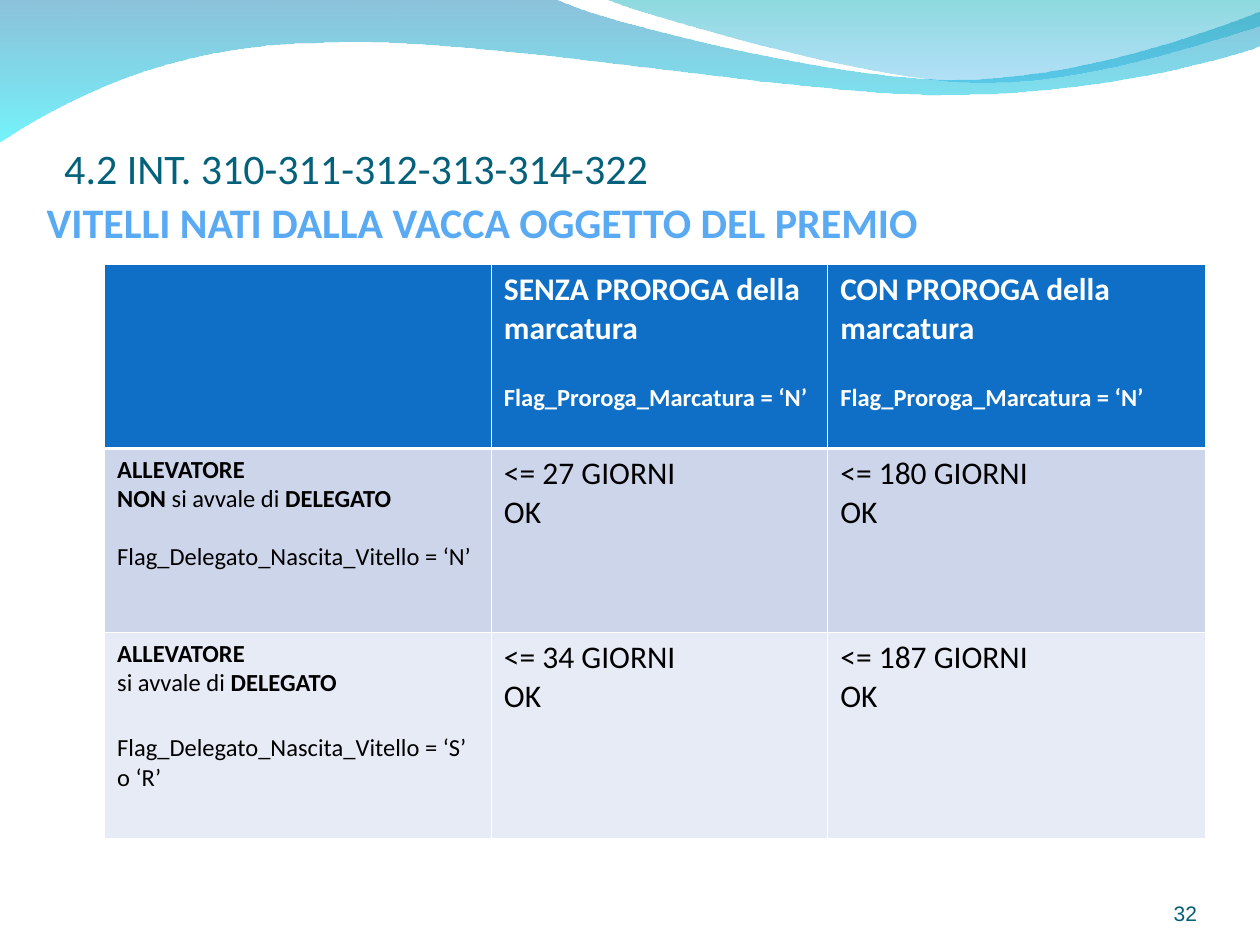
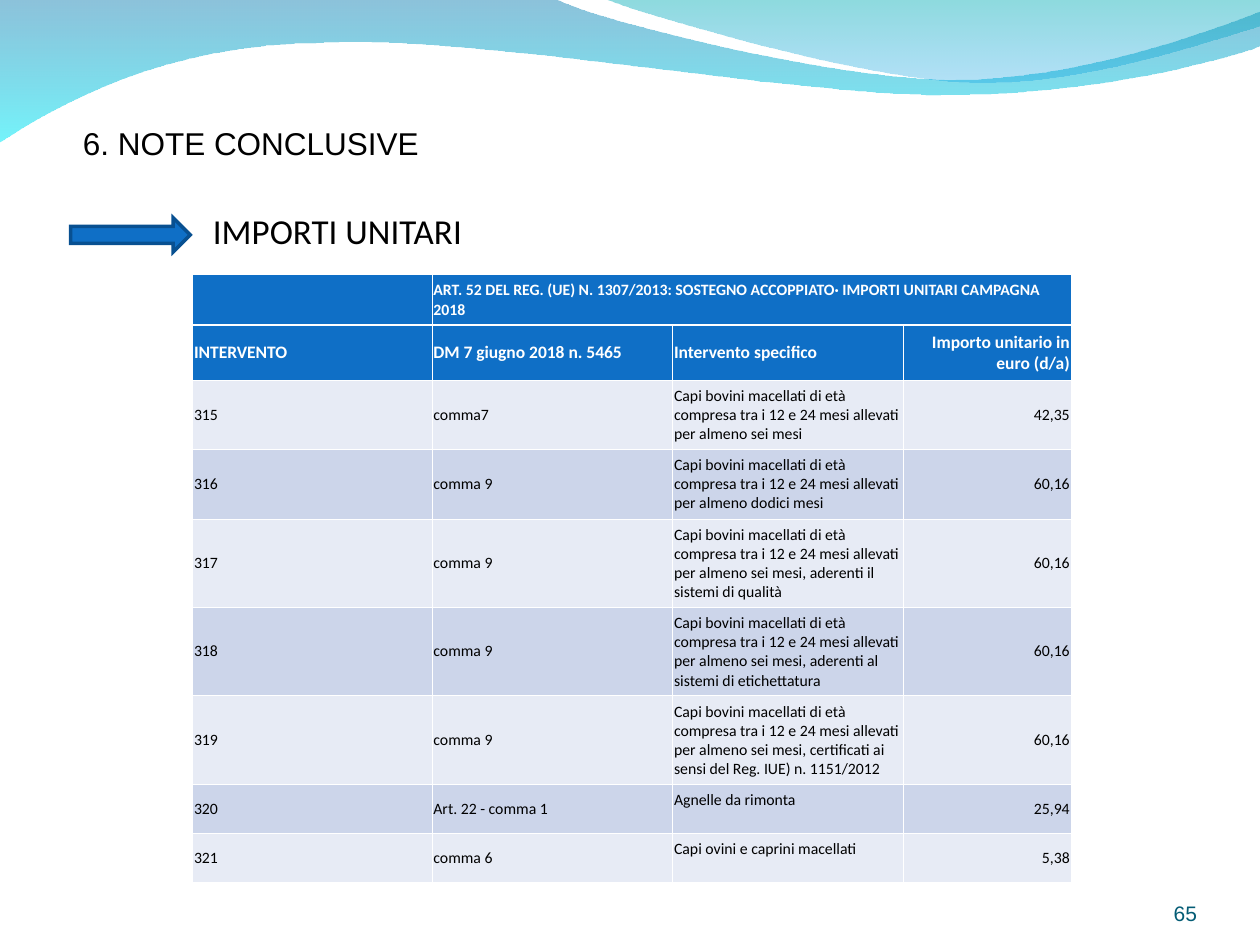
from dataclasses import dataclass
from typing import Optional

from lxml.etree import SubElement
from pptx import Presentation
from pptx.dml.color import RGBColor
from pptx.enum.shapes import MSO_SHAPE
from pptx.enum.text import MSO_ANCHOR, MSO_AUTO_SIZE, PP_ALIGN
from pptx.oxml.ns import qn
from pptx.util import Inches, Pt


@dataclass(frozen=True)
class Theme:
    body_font: str = "Calibri"
    label_font: str = "Arial"
    white: str = "FFFFFF"
    black: str = "000000"
    blue: str = "0F6FC6"
    blue_edge: str = "085091"
    title: str = "04617B"
    subtitle: str = "59AAF2"
    number: str = "045C75"
    bands: tuple = ("CCD5EA", "E7EBF5")
    title_size: int = 24
    topic_size: int = 20
    large: int = 18
    medium: int = 14
    number_size: int = 12
    column_head: int = 10
    small: int = 9
    thin_border: float = 0.45
    thick_border: float = 1.47


@dataclass(frozen=True)
class Box:
    left: float
    top: float
    width: float
    height: float

    def emu(self) -> tuple:
        return tuple(Inches(v) for v in (self.left, self.top, self.width, self.height))


@dataclass(frozen=True)
class Line:
    runs: tuple
    size: Optional[int] = None
    gap: float = 0


@dataclass(frozen=True)
class Wave:
    start: tuple
    segments: tuple
    stops: tuple


THEME = Theme()
CELL_INSETS = (0.1, 0.05, 0.1, 0.05)
TIGHT_INSETS = (0.01, 0.05, 0.01, 0.05)
TITLE_INSETS = (0, 0.05, 0, 0)

WAVES = (
    Wave(
        (0, -0.01),
        (
            ((4.4, -0.01),),
            ((4.76, 0.17), (6.64, 0.63), (7.58, 0.63)),
            ((8.53, 0.63), (9.58, 0.26), (10, 0.09)),
            ((10.01, 0.36),),
            ((9.83, 0.44), (8.7, 0.76), (7.46, 0.75)),
            ((6.22, 0.75), (3.82, 0.28), (2.57, 0.34)),
            ((1.29, 0.35), (0.46, 0.83), (-0.01, 1.13)),
            ((0, -0.01),),
        ),
        (("0079AF", 45), ("00EBF8", 55)),
    ),
    Wave(
        (4.79, -0.01),
        (
            ((5.09, 0.11), (6.82, 0.62), (7.69, 0.65)),
            ((8.56, 0.69), (9.61, 0.32), (10, 0.21)),
            ((10, 0),),
            ((4.79, -0.01),),
        ),
        (("00ADB6", 45), ("009BE5", 30)),
    ),
)


def rgb(value: str) -> RGBColor:
    return RGBColor.from_string(value)


def write_text(holder, *lines, size, color=THEME.black, font=THEME.body_font, bold=False,
               align=PP_ALIGN.LEFT, anchor=MSO_ANCHOR.TOP, insets=CELL_INSETS, spacing=None) -> None:
    (holder.margin_left, holder.margin_top,
     holder.margin_right, holder.margin_bottom) = (Inches(v) for v in insets)
    holder.vertical_anchor = anchor
    frame = getattr(holder, "text_frame", holder)
    frame.word_wrap = True
    for index, line in enumerate(lines):
        if isinstance(line, str):
            line = Line(((line, bold),))
        paragraph = frame.add_paragraph() if index else frame.paragraphs[0]
        paragraph.alignment = align
        if spacing:
            paragraph.line_spacing = spacing
        if line.gap:
            paragraph.space_before = Pt(line.gap)
        for words, is_bold in line.runs:
            run = paragraph.add_run()
            run.text = words
            run.font.name = font
            run.font.size = Pt(line.size or size)
            run.font.bold = is_bold
            run.font.color.rgb = rgb(color)


def add_text(slide, box: Box, *lines, **text_format) -> None:
    write_text(slide.shapes.add_textbox(*box.emu()).text_frame, *lines, **text_format)


def set_title(slide, box: Box, words: str, **text_format) -> None:
    title = slide.shapes.title
    title.left, title.top, title.width, title.height = box.emu()
    title.text_frame.auto_size = MSO_AUTO_SIZE.NONE
    write_text(title.text_frame, words, anchor=MSO_ANCHOR.BOTTOM, **text_format)


def bend_outline(outline, segments: tuple) -> None:
    sides = iter(outline.findall(qn("a:lnTo")))
    for segment in segments:
        side = next(sides)
        if len(segment) == 3:
            side.tag = qn("a:cubicBezTo")
            for _ in range(2):
                extra = next(sides)
                side.append(extra[0])
                outline.remove(extra)


def add_wave(slide, wave: Wave):
    corners = [(Inches(x), Inches(y)) for segment in wave.segments for x, y in segment]
    builder = slide.shapes.build_freeform(*(Inches(v) for v in wave.start))
    builder.add_line_segments(corners, close=True)
    shape = builder.convert_to_shape()
    properties = shape.element.spPr
    bend_outline(next(properties.iter(qn("a:path"))), wave.segments)
    shape.shadow.inherit = False
    shape.line.fill.background()
    shape.fill.gradient()
    shape.fill.gradient_angle = 270
    for stop, position, (color, _) in zip(shape.fill.gradient_stops, (0, 1), wave.stops):
        stop.color.rgb = rgb(color)
        stop.position = position
    for tint, (_, opacity) in zip(properties.iter(qn("a:srgbClr")), wave.stops):
        SubElement(tint, qn("a:alpha"), val=str(opacity * 1000))
    return shape


def move_waves_to_layout(slide) -> None:
    layout_tree = slide.slide_layout.shapes.element
    for position, wave in enumerate(WAVES, 2):
        layout_tree.insert(position, add_wave(slide, wave).element)


def add_base_slide(deck, number: str):
    slide = deck.slides.add_slide(deck.slide_layouts[5])
    add_text(slide, Box(8.67, 6.95, 0.83, 0.4), number, size=THEME.number_size,
             color=THEME.number, font=THEME.label_font, align=PP_ALIGN.RIGHT,
             anchor=MSO_ANCHOR.BOTTOM, insets=(0, 0, 0, 0), spacing=0.93)
    return slide


def style_cell(cell, fill: str, top: float, bottom: float) -> None:
    properties = cell._tc.get_or_add_tcPr()
    widths = {"L": THEME.thin_border, "R": THEME.thin_border, "T": top, "B": bottom}
    for side, width in widths.items():
        border = SubElement(properties, qn(f"a:ln{side}"), w=str(Pt(width)))
        SubElement(SubElement(border, qn("a:solidFill")), qn("a:srgbClr"), val=THEME.white)
    cell.fill.solid()
    cell.fill.fore_color.rgb = rgb(fill)


def add_grid(slide, box: Box, columns: tuple, rows: tuple, header_rows: int, first_band: int):
    grid = slide.shapes.add_table(len(rows), len(columns), *box.emu()).table
    grid.horz_banding = False
    for column, width in zip(grid.columns, columns):
        column.width = Inches(width)
    for r, height in enumerate(rows):
        grid.rows[r].height = Inches(height)
        fill = THEME.blue if r < header_rows else THEME.bands[(r - header_rows + first_band) % 2]
        top = THEME.thick_border if r == 1 else THEME.thin_border
        bottom = THEME.thick_border if r == 0 else THEME.thin_border
        for cell in grid.rows[r].cells:
            style_cell(cell, fill, top, bottom)
    return grid


def build_calves_slide(deck) -> None:
    slide = add_base_slide(deck, "32")
    move_waves_to_layout(slide)
    set_title(slide, Box(0.51, 0.68, 9, 1.25), "4.2 INT. 310-311-312-313-314-322",
              size=THEME.title_size, color=THEME.title, insets=(0, 0.05, 0, 0.4))
    add_text(slide, Box(0.37, 0.71, 9, 1.25), "VITELLI NATI DALLA VACCA OGGETTO DEL PREMIO",
             size=THEME.title_size, color=THEME.subtitle, bold=True,
             anchor=MSO_ANCHOR.BOTTOM, insets=TITLE_INSETS)
    grid = add_grid(slide, Box(0.83, 2.1, 8.74, 4.55), (3.07, 2.67, 3), (1.46, 1.46, 1.63),
                    header_rows=1, first_band=0)
    for c, extension in enumerate(("SENZA", "CON"), 1):
        write_text(grid.cell(0, c), f"{extension} PROROGA della marcatura",
                   Line((("Flag_Proroga_Marcatura = ‘N’", True),), THEME.medium, 20),
                   size=THEME.large, color=THEME.white, bold=True)
    breeders = (
        ((("NON ", True), ("si avvale di ", False), ("DELEGATO", True)), "‘N’", 16, (27, 180)),
        ((("si avvale di ", False), ("DELEGATO", True)), "‘S’ o ‘R’", 20, (34, 187)),
    )
    for r, (delegation, flag, gap, limits) in enumerate(breeders, 1):
        write_text(grid.cell(r, 0), Line((("ALLEVATORE", True),)), Line(delegation),
                   Line(((f"Flag_Delegato_Nascita_Vitello = {flag}", False),), gap=gap),
                   size=THEME.medium)
        for c, days in enumerate(limits, 1):
            write_text(grid.cell(r, c), f"<= {days} GIORNI", "OK", size=THEME.large)


def build_amounts_slide(deck) -> None:
    slide = add_base_slide(deck, "65")
    set_title(slide, Box(1.69, 0.75, 8.31, 1.25), "IMPORTI UNITARI",
              size=THEME.topic_size, insets=TITLE_INSETS)
    add_text(slide, Box(0.56, 0.96, 4.17, 0.38), "6. NOTE CONCLUSIVE",
             size=THEME.large, font=THEME.label_font, spacing=0.93)
    arrow = slide.shapes.add_shape(MSO_SHAPE.RIGHT_ARROW, *Box(0.56, 1.73, 0.95, 0.27).emu())
    arrow.shadow.inherit = False
    arrow.fill.solid()
    arrow.fill.fore_color.rgb = rgb(THEME.blue)
    arrow.line.color.rgb = rgb(THEME.blue_edge)
    arrow.line.width = Pt(2)
    SubElement(arrow.element.spPr.find(qn("a:ln")), qn("a:miter"), lim="800000")

    grid = add_grid(slide, Box(1.53, 2.18, 6.97, 4.06), (1.9, 1.91, 1.83, 1.33),
                    (0.31, 0.34, 0.46, 0.5, 0.61, 0.61, 0.61, 0.31, 0.31),
                    header_rows=2, first_band=1)
    grid.cell(0, 1).merge(grid.cell(0, 3))
    write_text(grid.cell(0, 1),
               "ART. 52 DEL REG. (UE) N. 1307/2013: SOSTEGNO ACCOPPIATO· "
               "IMPORTI UNITARI CAMPAGNA 2018",
               size=THEME.small, color=THEME.white, bold=True,
               anchor=MSO_ANCHOR.MIDDLE, insets=TIGHT_INSETS)
    cattle = "Capi bovini macellati di età compresa tra i 12 e 24 mesi allevati per almeno "
    entries = (
        ("INTERVENTO", "DM 7 giugno 2018 n. 5465", "Intervento specifico",
         "Importo unitario in euro (d/a)"),
        ("315", "comma7", cattle + "sei mesi", "42,35"),
        ("316", "comma 9", cattle + "dodici mesi", "60,16"),
        ("317", "comma 9", cattle + "sei mesi, aderenti il sistemi di qualità", "60,16"),
        ("318", "comma 9", cattle + "sei mesi, aderenti al sistemi di etichettatura", "60,16"),
        ("319", "comma 9", cattle + "sei mesi, certificati ai sensi del Reg. IUE) n. 1151/2012",
         "60,16"),
        ("320", "Art. 22 - comma 1", "Agnelle da rimonta", "25,94"),
        ("321", "comma 6", "Capi ovini e caprini macellati", "5,38"),
    )
    for r, entry in enumerate(entries, 1):
        heading = r == 1
        for c, words in enumerate(entry):
            raised = c == 2 and entry[0] in ("320", "321")
            write_text(grid.cell(r, c), words,
                       size=THEME.column_head if heading else THEME.small,
                       color=THEME.white if heading else THEME.black, bold=heading,
                       align=PP_ALIGN.RIGHT if c == 3 else PP_ALIGN.LEFT,
                       anchor=MSO_ANCHOR.MIDDLE,
                       insets=(0.01, 0.05, 0.01, 0.19) if raised else TIGHT_INSETS)


def main() -> None:
    deck = Presentation()
    deck.slide_width, deck.slide_height = Inches(10), Inches(7.5)
    build_calves_slide(deck)
    build_amounts_slide(deck)
    deck.save("out.pptx")


if __name__ == "__main__":
    main()
